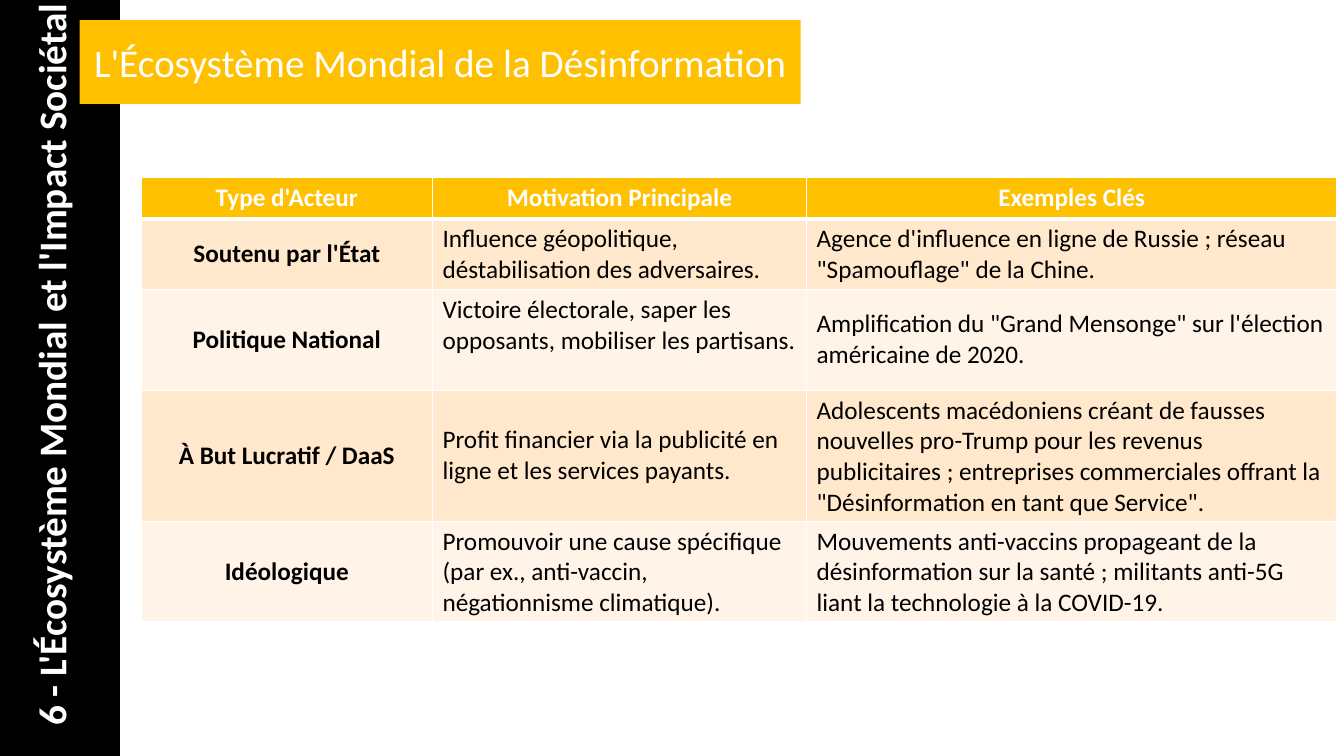
from dataclasses import dataclass

from lxml.etree import SubElement
from pptx import Presentation
from pptx.dml.color import RGBColor as Rgb
from pptx.enum.shapes import MSO_SHAPE as Shape
from pptx.enum.text import MSO_ANCHOR as Anchor, MSO_AUTO_SIZE as AutoSize, PP_ALIGN as Align
from pptx.oxml.ns import qn
from pptx.util import Inches, Pt


@dataclass(frozen=True)
class Theme:
    font: str = "Calibri"
    heading_size: int = 28
    table_size: int = 18
    black: str = "000000"
    white: str = "FFFFFF"
    gold: str = "FFC000"
    bands: tuple = ("FFE8CC", "FFF4E7")
    thin: int = 1
    thick: int = 3


theme = Theme()


def write(frame, text, size, color, bold=False, align=Align.LEFT):
    frame.text = text
    para = frame.paragraphs[0]
    para.alignment = align
    para.font.name = theme.font
    para.font.size = Pt(size)
    para.font.bold = bold
    para.font.color.rgb = Rgb.from_string(color)


def paint_cell(cell, color, bottom_width):
    """Fill a cell and rule its four sides in white."""
    props = cell._tc.get_or_add_tcPr()
    for side in ("L", "R", "T", "B"):
        width = bottom_width if side == "B" else theme.thin
        line = SubElement(props, qn(f"a:ln{side}"), w=str(Pt(width)))
        SubElement(SubElement(line, qn("a:solidFill")), qn("a:srgbClr"), val=theme.white)
    cell.fill.solid()
    cell.fill.fore_color.rgb = Rgb.from_string(color)


deck = Presentation()
deck.slide_width, deck.slide_height = Inches(13.33), Inches(7.5)
page = deck.slides.add_slide(deck.slide_layouts.get_by_name("Title Only"))

# Title on its gold banner
title = page.shapes.title
title.left, title.top, title.width, title.height = map(Inches, (0.79, 0.2, 7.15, 0.83))
title.fill.solid()
title.fill.fore_color.rgb = Rgb.from_string(theme.gold)
title.text_frame.auto_size = AutoSize.NONE
title.text_frame.vertical_anchor = Anchor.MIDDLE
write(title.text_frame, "L'Écosystème Mondial de la Désinformation",
      theme.heading_size, theme.white, align=Align.CENTER)

# Black side band, behind the title
band = page.shapes.add_shape(Shape.RECTANGLE, 0, 0, Inches(1.19), deck.slide_height)
band.shadow.inherit = False
band.fill.solid()
band.fill.fore_color.rgb = Rgb.from_string(theme.black)
band.line.fill.background()
title.element.addprevious(band.element)

# Chapter name, reading upwards
chapter = page.shapes.add_textbox(*map(Inches, (-3.43, 3.08, 7.87, 0.57)))
chapter.rotation = 270
chapter.text_frame.word_wrap = True
write(chapter.text_frame, "6 - L'Écosystème Mondial et l'Impact Sociétal",
      theme.heading_size, theme.white, bold=True)

# Table of actors
actors = [
    ("Type d'Acteur", "Motivation Principale", "Exemples Clés"),
    ("Soutenu par l'État",
     "Influence géopolitique, déstabilisation des adversaires.",
     "Agence d'influence en ligne de Russie ; réseau \"Spamouflage\" de la Chine."),
    ("Politique National",
     "Victoire électorale, saper les opposants, mobiliser les partisans.",
     "Amplification du \"Grand Mensonge\" sur l'élection américaine de 2020."),
    ("À But Lucratif / DaaS",
     "Profit financier via la publicité en ligne et les services payants.",
     "Adolescents macédoniens créant de fausses nouvelles pro-Trump pour les revenus "
     "publicitaires ; entreprises commerciales offrant la "
     "\"Désinformation en tant que Service\"."),
    ("Idéologique",
     "Promouvoir une cause spécifique (par ex., anti-vaccin, négationnisme climatique).",
     "Mouvements anti-vaccins propageant de la désinformation sur la santé ; "
     "militants anti-5G liant la technologie à la COVID-19."),
]
column_widths = (2.89, 3.71, 5.26)
row_heights = (0.41, 0.7, 1.0, 1.3, 1.0)

table = page.shapes.add_table(
    len(row_heights), len(column_widths), Inches(1.4), Inches(1.76),
    Inches(sum(column_widths)), Inches(sum(row_heights))).table
for column, width in zip(table.columns, column_widths):
    column.width = Inches(width)
for row, height in zip(table.rows, row_heights):
    row.height = Inches(height)

for r, texts in enumerate(actors):
    header = r == 0
    fill = theme.gold if header else theme.bands[(r - 1) % 2]
    for c, text in enumerate(texts):
        cell = table.cell(r, c)
        label = header or c == 0
        cell.vertical_anchor = Anchor.MIDDLE
        write(cell.text_frame, text, theme.table_size,
              theme.white if header else theme.black,
              bold=label, align=Align.CENTER if label else Align.LEFT)
        paint_cell(cell, fill, theme.thick if header else theme.thin)
table.cell(2, 1).vertical_anchor = Anchor.TOP

deck.save("out.pptx")
